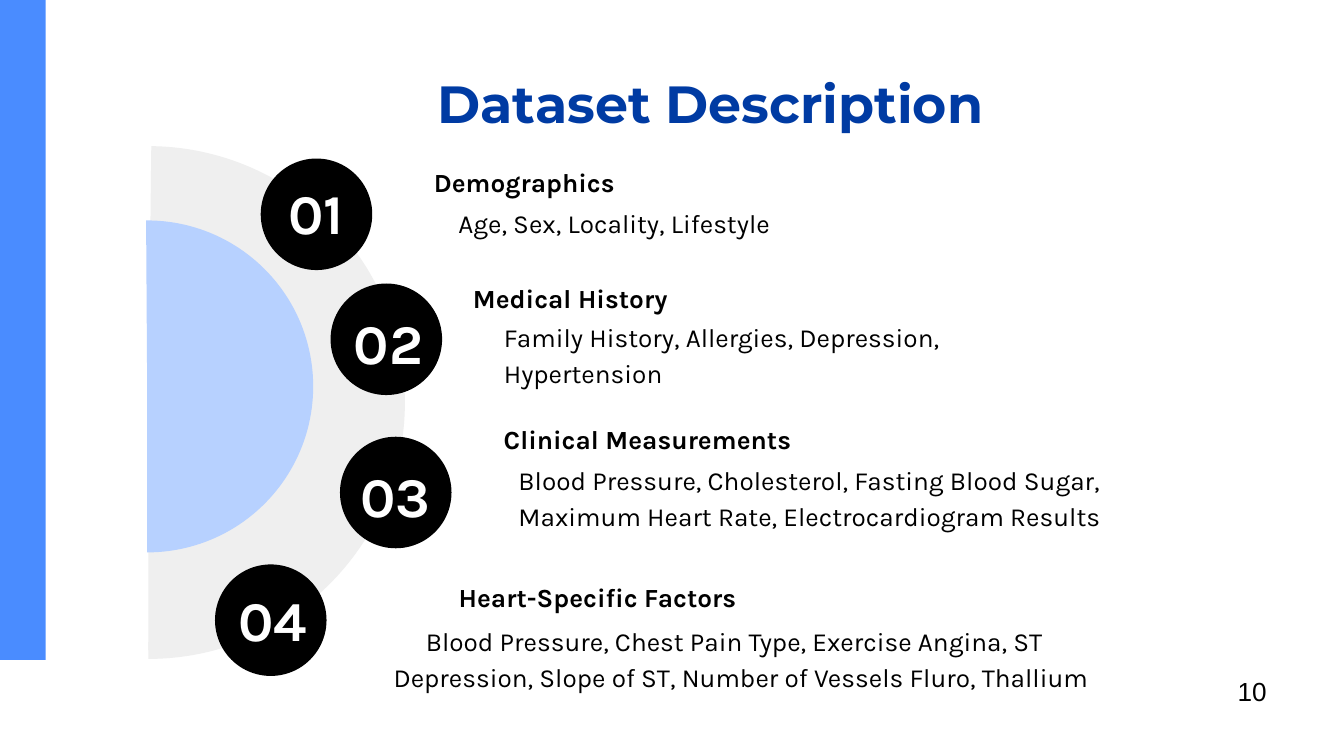
from typing import NamedTuple

import pptx
import pptx.dml.color
import pptx.enum.shapes
import pptx.enum.text
import pptx.util

Inches = pptx.util.Inches
Shape = pptx.enum.shapes.MSO_SHAPE
Align = pptx.enum.text.PP_ALIGN
Anchor = pptx.enum.text.MSO_ANCHOR
RGBColor = pptx.dml.color.RGBColor

BLACK = RGBColor(0x00, 0x00, 0x00)
WHITE = RGBColor(0xFF, 0xFF, 0xFF)
NAVY = RGBColor(0x00, 0x3B, 0xA3)
BLUE = RGBColor(0x4A, 0x8C, 0xFF)
PALE_BLUE = RGBColor(0xB7, 0xD1, 0xFF)
GREY = RGBColor(0xEF, 0xEF, 0xEF)

BADGE_SIZE = 0.83
HEADING = {"name": "Karla", "size": pptx.util.Pt(14), "bold": True}
DETAIL = {"name": "Karla", "size": pptx.util.Pt(14)}
NUMBER = {"name": "Karla", "size": pptx.util.Pt(30), "bold": True}
TITLE = {"name": "Montserrat", "size": pptx.util.Pt(28), "bold": True}
PAGE = {"name": "Arial", "size": pptx.util.Pt(14)}


class Box(NamedTuple):
    left: float
    top: float
    width: float
    height: float

    def lengths(self) -> list:
        return [Inches(value) for value in self]


class Category(NamedTuple):
    badge: tuple[float, float]
    number: tuple[float, float]
    heading: str
    heading_box: Box
    detail: str
    detail_box: Box
    heading_align: Align = Align.LEFT
    inset: float = 0.1
    indent: float = 0


CATEGORIES = [
    Category((1.94, 1.18), (1.94, 1.45),
             "Demographics", Box(3.13, 1.23, 1.7, 0.25),
             "Age, Sex, Locality, Lifestyle", Box(3.27, 1.39, 3.12, 0.5),
             inset=0.14),
    Category((2.46, 2.11), (2.48, 2.42),
             "Medical History", Box(3.42, 2.07, 3.78, 0.29),
             "Family History, Allergies, Depression, Hypertension",
             Box(3.65, 2.33, 4.51, 0.59)),
    Category((2.53, 3.25), (2.53, 3.56),
             "Clinical Measurements", Box(3.65, 3.03, 3.27, 0.47),
             "Blood Pressure, Cholesterol, Fasting Blood Sugar, "
             "Maximum Heart Rate, Electrocardiogram Results",
             Box(3.76, 3.14, 4.86, 1.09)),
    Category((1.6, 4.2), (1.62, 4.48),
             "Heart-Specific Factors", Box(0.3, 4.23, 5.28, 0.42),
             "Blood Pressure, Chest Pain Type, Exercise Angina, ST\v"
             "Depression, Slope of ST, Number of Vessels Fluro, Thallium",
             Box(2.83, 4.4, 5.63, 0.97),
             heading_align=Align.RIGHT, indent=0.24),
]


def add_filled(slide, kind: Shape, box: Box, color: RGBColor, angles=()):
    """Add a plain shape; angles are in degrees, clockwise from the right."""
    shape = slide.shapes.add_shape(kind, *box.lengths())
    shape.shadow.inherit = False
    shape.fill.solid()
    shape.fill.fore_color.rgb = color
    shape.line.fill.background()
    for index, angle in enumerate(angles):
        shape.adjustments[index] = angle * 0.6
    return shape


def write(shape, text: str, font: dict, color: RGBColor = BLACK,
          align: Align = Align.LEFT, anchor: Anchor = Anchor.MIDDLE,
          inset: float = 0.1, margin: float = 0.1):
    """Fill a text shape with one formatted paragraph and return it."""
    frame = shape.text_frame
    frame_format = {
        "word_wrap": True, "vertical_anchor": anchor,
        "margin_left": Inches(inset), "margin_right": Inches(0.1),
        "margin_top": Inches(margin), "margin_bottom": Inches(margin),
    }
    for name, value in frame_format.items():
        setattr(frame, name, value)
    paragraph = frame.paragraphs[0]
    paragraph.text = text
    paragraph.alignment = align
    for run in paragraph.runs:
        for name, value in font.items():
            setattr(run.font, name, value)
        run.font.color.rgb = color
    return paragraph


def add_text(slide, box: Box, text: str, font: dict, **options):
    return write(slide.shapes.add_textbox(*box.lengths()), text, font, **options)


def add_category(slide, index: int, category: Category) -> None:
    add_filled(slide, Shape.OVAL, Box(*category.badge, BADGE_SIZE, BADGE_SIZE), BLACK)
    add_text(slide, Box(*category.number, 0.82, 0.25), f"{index:02}", NUMBER,
             color=WHITE, align=Align.CENTER)
    detail = add_text(slide, category.detail_box, category.detail, DETAIL,
                      inset=category.inset)
    detail.line_spacing = 1.15
    if category.indent:
        properties = detail._p.get_or_add_pPr()
        properties.set("marL", "0")
        properties.set("indent", str(Inches(category.indent)))
    add_text(slide, category.heading_box, category.heading, HEADING,
             align=category.heading_align)


def main() -> None:
    # Widescreen 16:9 page
    presentation = pptx.Presentation()
    presentation.slide_width = Inches(10)
    presentation.slide_height = Inches(10 * 9 / 16)
    slide = presentation.slides.add_slide(presentation.slide_layouts[5])

    # Side bar and half circles
    add_filled(slide, Shape.RECTANGLE, Box(0, 0, 0.34, 4.91), BLUE)
    ring = add_filled(slide, Shape.ARC, Box(-0.74, 1.15, 3.69, 3.69), GREY,
                      (270.62, 90.03))
    ring.line.color.rgb = GREY
    ring.line.width = pptx.util.Pt(9)
    core = add_filled(slide, Shape.PIE, Box(-0.14, 1.64, 2.47, 2.47), PALE_BLUE,
                      (89.62, 270))
    core.rotation = 180

    # Title
    title = slide.shapes.title
    title.left, title.top, title.width, title.height = Box(
        1.07, 0.43, 8.43, 0.63).lengths()
    write(title, "Dataset Description", TITLE, color=NAVY,
          align=Align.CENTER, anchor=Anchor.TOP)

    # Numbered categories
    for index, category in enumerate(CATEGORIES, start=1):
        add_category(slide, index, category)

    # Page number
    add_text(slide, Box(9.11, 4.98, 0.53, 0.34), "10", PAGE,
             anchor=Anchor.TOP, margin=0.05)

    presentation.save("out.pptx")


if __name__ == "__main__":
    main()
